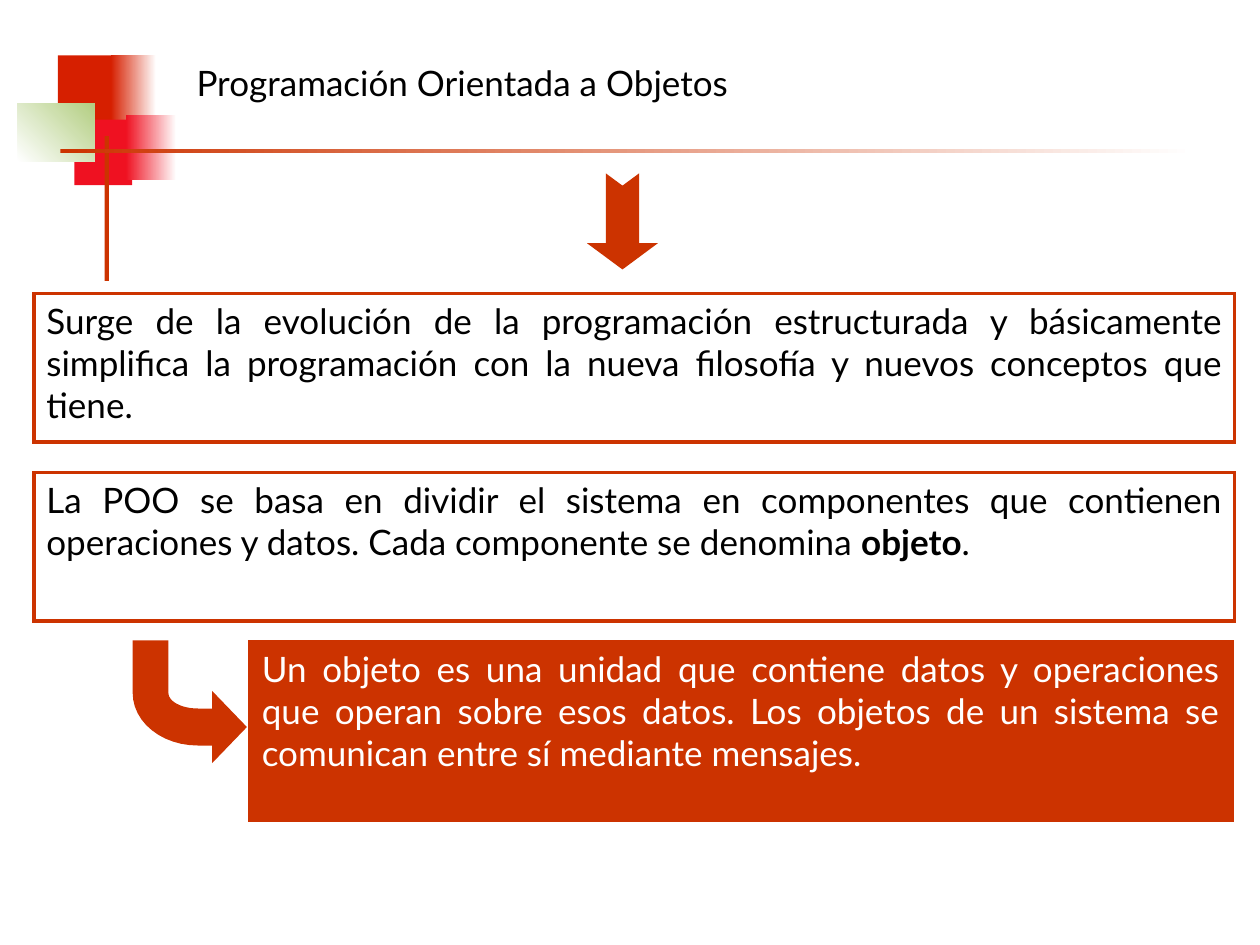
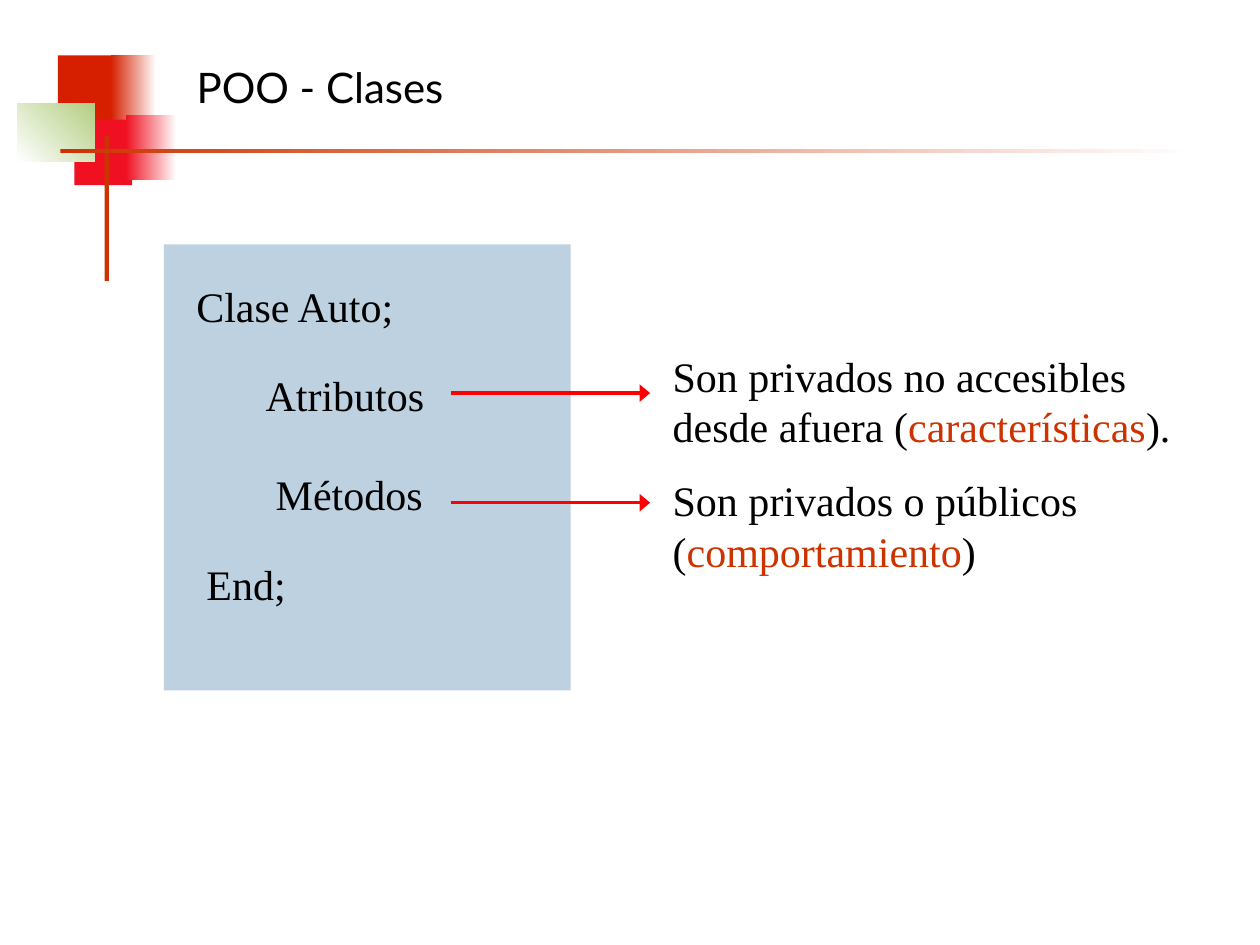
from math import cos, pi, sin

from lxml import etree
from pptx import Presentation
from pptx.dml.color import RGBColor
from pptx.enum.shapes import MSO_CONNECTOR, MSO_SHAPE
from pptx.enum.text import MSO_ANCHOR, MSO_AUTO_SIZE, PP_ALIGN
from pptx.oxml.ns import qn
from pptx.util import Inches, Pt

RECT, NOTCHED = MSO_SHAPE.RECTANGLE, MSO_SHAPE.NOTCHED_RIGHT_ARROW
STRAIGHT = MSO_CONNECTOR.STRAIGHT
TOP, NO_FIT = MSO_ANCHOR.TOP, MSO_AUTO_SIZE.NONE
LEFT, JUSTIFY = PP_ALIGN.LEFT, PP_ALIGN.JUSTIFY
SANS, SERIF = "Lato", "Times New Roman"
BLACK, WHITE, RUST, ARROW_RED = "000000", "FFFFFF", "CC3300", "FF0000"
BRICK, CRIMSON, GREEN, PALE_BLUE = "D61F00", "EF1121", "B3CE82", "BED1E0"

prs = Presentation()
prs.slide_width, prs.slide_height = Inches(10), Inches(7.5)
U = prs.slide_width // 100  # square grid: 100 columns by 75 rows
rgb = RGBColor.from_string


def paint(sp, fill=None, line=None, width=2):
    """Fill with a hex colour, a (start, end, angle) gradient or nothing."""
    sp.shadow.inherit = False
    if isinstance(fill, tuple):
        sp.fill.gradient()
        sp.fill.gradient_angle = fill[2]
        for stop, colour in zip(sp.fill.gradient_stops, fill):
            stop.color.rgb = rgb(colour)
    elif fill:
        sp.fill.solid()
        sp.fill.fore_color.rgb = rgb(fill)
    else:
        sp.fill.background()
    if line:
        sp.line.color.rgb = rgb(line)
        sp.line.width = Pt(width)
        ln = sp.element.spPr.find(qn("a:ln"))
        etree.SubElement(ln, qn("a:miter"), lim="800000")
    else:
        sp.line.fill.background()


def write(sp, paragraphs, font, size, align=LEFT):
    """Write paragraphs, each a list of (text, colour, bold) runs."""
    tf = sp.text_frame
    tf.word_wrap, tf.auto_size, tf.vertical_anchor = True, NO_FIT, TOP
    for i, runs in enumerate(paragraphs):
        p = tf.add_paragraph() if i else tf.paragraphs[0]
        p.alignment = align
        for text, colour, bold in runs:
            r = p.add_run()
            r.text = text
            r.font.name, r.font.size, r.font.bold = font, Pt(size), bold
            r.font.color.rgb = rgb(colour)


# Shared title position and slides
layout = prs.slide_layouts[5]
title = layout.placeholders[0]
title.left, title.top, title.width, title.height = (
    int(n * U) for n in (14.6, 4.4, 73.2, 5))
slides = []
for heading, size in (("Programación Orientada a Objetos", 20), ("POO - Clases", 24)):
    s = prs.slides.add_slide(layout)
    write(s.shapes.title, [[(heading, BLACK, False)]], SANS, size)
    slides.append(s)
intro, classes = slides

# Corner ornament and rules, moved into the layout
ornament = [
    (4.6, 4.4, 4.8, 5.2, BRICK),
    (8.8, 4.4, 3.6, 5.2, (BRICK, WHITE, 0)),
    (5.9, 9.5, 4.6, 5.2, CRIMSON),
    (10, 9.1, 4, 5.2, (CRIMSON, WHITE, 0)),
    (1.4, 8.2, 6.1, 4.6, (WHITE, GREEN, 45)),
    (8.3, 10.8, 0.35, 11.5, RUST),
    (4.8, 11.8, 90, 0.35, (RUST, WHITE, 0)),
]
for i, (*place, fill) in enumerate(ornament):
    sp = intro.shapes.add_shape(RECT, *(int(n * U) for n in place))
    paint(sp, fill)
    sp.element.xpath(".//p:cNvPr")[0].set("id", str(50 + i))
    layout.shapes.element.append(sp.element)

# Slide 1: definition boxes
sp = intro.shapes.add_shape(NOTCHED, *(int(n * U) for n in (45.7, 15, 7.4, 5.2)))
sp.rotation = 90
sp.adjustments[0], sp.adjustments[1] = 0.48, 0.37
paint(sp, RUST, RUST, 1)

definitions = [
    (2.7, 23.3, 95.3, 11.8, None, [
        ("Surge de la evolución de la programación estructurada y básicamente "
         "simplifica la programación con la nueva filosofía y nuevos conceptos "
         "que tiene.", BLACK, False)]),
    (2.7, 37.5, 95.3, 11.8, None, [
        ("La POO se basa en dividir el sistema en componentes que contienen "
         "operaciones y datos. Cada componente se denomina ", BLACK, False),
        ("objeto", BLACK, True), (".", BLACK, False)]),
    (19.8, 50.9, 78, 14.2, RUST, [
        ("Un objeto es una unidad que contiene datos y operaciones que operan "
         "sobre esos datos. Los objetos de un sistema se comunican entre sí "
         "mediante mensajes.", WHITE, False)]),
]
for *place, fill, runs in definitions:
    sp = intro.shapes.add_shape(RECT, *(int(n * U) for n in place))
    paint(sp, fill, RUST)
    write(sp, [runs], SANS, 20, JUSTIFY)

# Curved arrow: both bends are quarter ellipses around one centre
turns = [i * pi / 24 for i in range(13)]
outer = [(15.7 - 5.1 * sin(t), 55 + 4.1 * cos(t)) for t in turns]
inner = [(15.7 - 2.4 * cos(t), 55 + 1.3 * sin(t)) for t in turns]
outline = [(19.5, 57.7), (16.9, 60.4), (16.9, 59.1), *outer, (10.6, 50.9),
           (13.3, 50.9), *inner, (16.9, 56.3), (16.9, 55)]
points = [(int(x * U), int(y * U)) for x, y in outline]
builder = intro.shapes.build_freeform(*points[0])
builder.add_line_segments(points[1:], close=True)
paint(builder.convert_to_shape(), RUST, RUST, 1)

# Slide 2: class listing with explanations
sp = classes.shapes.add_shape(RECT, *(int(n * U) for n in (13, 19.4, 32.3, 35.4)))
paint(sp, PALE_BLUE)

labels = [
    (14.6, 21.8, "Clase Auto;"),
    (20.1, 28.8, "Atributos"),
    (20.9, 36.7, "Métodos"),
    (15.4, 43.8, "End;"),
]
for x, y, text in labels:
    sp = classes.shapes.add_textbox(*(int(n * U) for n in (x, y, 20, 5)))
    write(sp, [[(text, BLACK, False)]], SERIF, 24)

explanations = [
    (27.3, 31.2, [[("Son privados no accesibles desde afuera (", BLACK, False),
                   ("características", RUST, False), (").", BLACK, False)]]),
    (37.2, 39.9, [[("Son privados o públicos", BLACK, False)],
                  [("(", BLACK, False), ("comportamiento", RUST, False),
                   (")", BLACK, False)]]),
]
for top, arrow_y, paragraphs in explanations:
    sp = classes.shapes.add_textbox(*(int(n * U) for n in (52.4, top, 44.9, 9)))
    write(sp, paragraphs, SERIF, 24)
    arrow = classes.shapes.add_connector(
        STRAIGHT, *(int(n * U) for n in (35.8, arrow_y, 51.6, arrow_y)))
    arrow.line.color.rgb = rgb(ARROW_RED)
    arrow.line.width = Pt(2)
    spPr = arrow.element.spPr
    etree.SubElement(spPr.find(qn("a:ln")), qn("a:tailEnd"), type="triangle", w="lg")
    etree.SubElement(spPr, qn("a:effectLst"))

prs.save("out.pptx")
